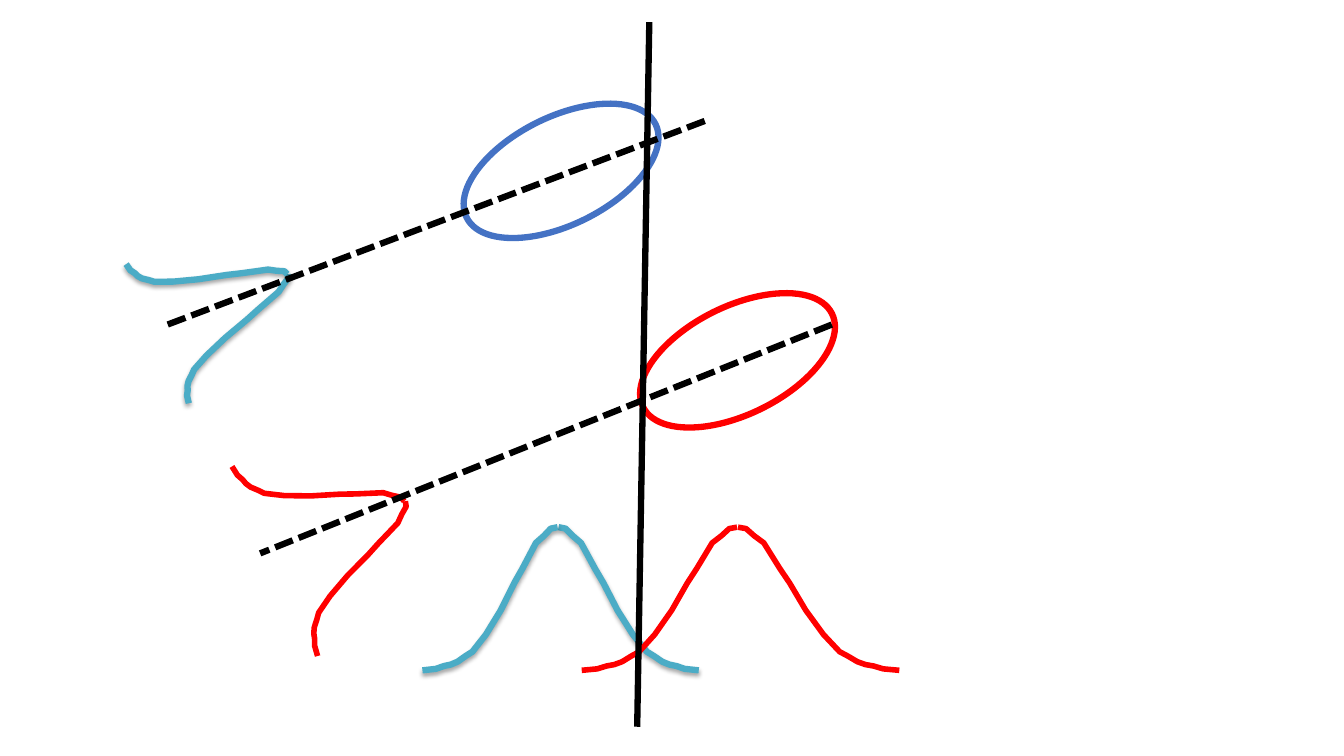
import pptx
import pptx.util
import pptx.dml.color
import pptx.enum.dml
import pptx.enum.shapes
import pptx.oxml
import pptx.oxml.ns
import lxml.etree

WIDE, HIGH = 13.33, 7.5
TEAL, BLUE, RED, BLACK = "4BACC6", "4472C4", "FF0000", "000000"

# Half a bell, from tail to peak: (share of width, share of height)
BELL = [(0, 0), (.1, .01), (.16, .03), (.21, .04), (.26, .06), (.32, .1),
        (.37, .13), (.47, .25), (.58, .42), (.68, .61), (.74, .71),
        (.79, .8), (.84, .89), (.9, .94), (.95, .99), (1, 1)]
RISE = 1.42
TILT = 66

# left, top, width, side of the tail, turn, colour (one-inch grid)
FLAT = [(5.54, 5.23, 1.39, "right", 0, TEAL),
        (4.19, 5.23, 1.34, "left", 0, TEAL),
        (7.32, 5.23, 1.6, "right", 0, RED),
        (5.77, 5.23, 1.54, "left", 0, RED)]
TURNED = [(1.98, 2.65, .77, "right", TILT, TEAL),
          (1.68, 1.96, .74, "left", TILT, TEAL),
          (3.06, 5.03, 1.05, "right", TILT, RED),
          (2.65, 4.09, 1.01, "left", TILT, RED)]
# Line width in points, and whether a shadow falls
STYLE = {TEAL: (4.5, True), RED: (4, False)}

OVALS = [(4.52, 1.16, BLUE), (6.27, 3.04, RED)]
OVAL_SIZE = 2.09, 1.07
OVAL_TURN = 333.7

# start, end, dotted
SPLIT = (6.44, .22), (6.32, 7.21), False
AXES = [((6.99, 1.2), (1.61, 3.24), True),
        ((8.25, 3.22), (2.58, 5.49), True)]

inch = pptx.util.Inches


def ink(line, color, width):
    line.color.rgb = pptx.dml.color.RGBColor.from_string(color)
    line.width = pptx.util.Pt(width)


def cast(shape):
    """Give the shape a soft shadow just below it."""
    effects = shape._element.spPr.find(pptx.oxml.ns.qn("a:effectLst"))
    effects.append(pptx.oxml.parse_xml(
        f'<a:outerShdw {pptx.oxml.ns.nsdecls("a")} blurRad="40000" '
        'dist="23000" dir="5400000" rotWithShape="0"><a:srgbClr val="000000">'
        '<a:alpha val="35000"/></a:srgbClr></a:outerShdw>'))


def draw_bell(left, top, width, side, turn, color):
    spots = [(inch(left + width * (1 - x if side == "right" else x)),
              inch(top + RISE * (1 - y))) for x, y in BELL]
    maker = shapes.build_freeform(*spots[0], scale=1.0)
    maker.add_line_segments(spots[1:], close=False)
    half = maker.convert_to_shape()
    half.rotation = turn
    half.fill.background()
    weight, shaded = STYLE[color]
    ink(half.line, color, weight)
    half.shadow.inherit = False
    if shaded:
        cast(half)


def draw_oval(left, top, color):
    oval = shapes.add_shape(pptx.enum.shapes.MSO_SHAPE.OVAL, inch(left),
                            inch(top), *map(inch, OVAL_SIZE))
    oval.rotation = OVAL_TURN
    oval.fill.background()
    ink(oval.line, color, 4.5)
    oval.shadow.inherit = False


def draw_line(start, end, dotted):
    line = shapes.add_connector(pptx.enum.shapes.MSO_CONNECTOR.STRAIGHT,
                                *map(inch, start + end))
    ink(line.line, BLACK, 4.5)
    if dotted:
        line.line.dash_style = pptx.enum.dml.MSO_LINE.SQUARE_DOT
    lxml.etree.SubElement(line._element.spPr,
                          pptx.oxml.ns.qn("a:effectLst"))


deck = pptx.Presentation()
deck.slide_width, deck.slide_height = inch(WIDE), inch(HIGH)
shapes = deck.slides.add_slide(deck.slide_layouts[6]).shapes

for bell in FLAT:
    draw_bell(*bell)
for oval in OVALS:
    draw_oval(*oval)
draw_line(*SPLIT)
for bell in TURNED:
    draw_bell(*bell)
for axis in AXES:
    draw_line(*axis)

deck.save("out.pptx")
